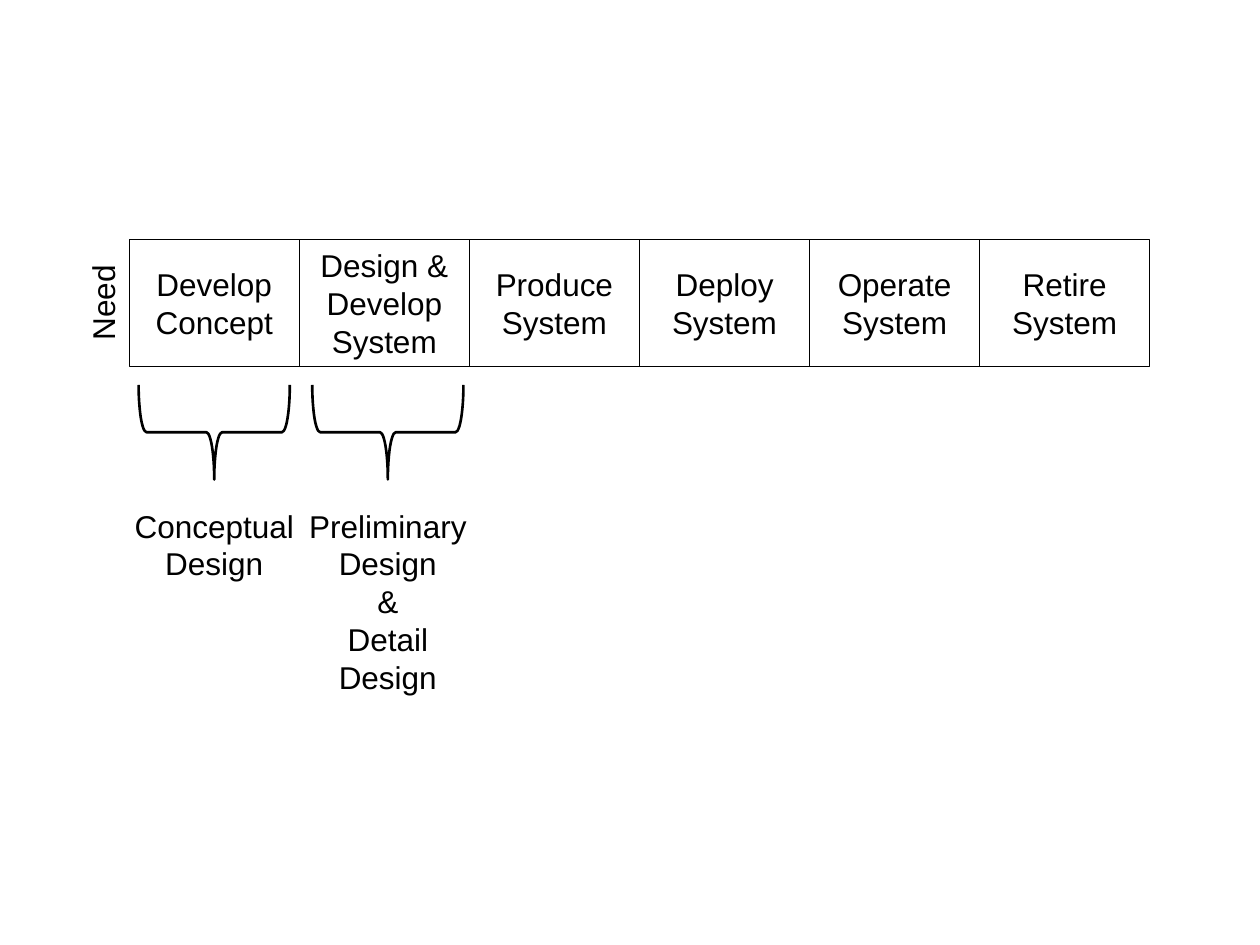
"""Build a slide of the system life cycle phases with their design stages."""
from pptx import Presentation
from pptx.dml.color import RGBColor
from pptx.enum.shapes import MSO_SHAPE as Shape
from pptx.enum.text import MSO_ANCHOR as Anchor, PP_ALIGN as Align
from pptx.util import Pt


def color(value):
    return RGBColor.from_string(value)


def write(target, lines, anchor):
    frame = target.text_frame
    frame.word_wrap = True
    frame.vertical_anchor = anchor
    for index, line in enumerate(lines):
        paragraph = frame.add_paragraph() if index else frame.paragraphs[0]
        paragraph.alignment = Align.CENTER
        run = paragraph.add_run()
        run.text = line
        run.font.name = "Arial"
        run.font.size = Pt(18)
        run.font.color.rgb = color("000000")


prs = Presentation()
prs.slide_width, prs.slide_height = Pt(720), Pt(540)
slide = prs.slides.add_slide(prs.slide_layouts[6])
shapes = slide.shapes

need = shapes.add_textbox(Pt(10.2), Pt(158.5), Pt(97.2), Pt(29.2))
need.rotation = 270
write(need, ["Need"], Anchor.TOP)

phases = ["Develop Concept", "Design & Develop System", "Produce System",
          "Deploy System", "Operate System", "Retire System"]
phase_left, phase_width = 73.8, 97.2
for column, name in enumerate(phases):
    phase = shapes.add_shape(Shape.RECTANGLE, Pt(phase_left + column * phase_width),
                             Pt(136.8), Pt(phase_width), Pt(72.6))
    phase.shadow.inherit = False
    phase.fill.background()
    phase.line.color.rgb = color("000000")
    phase.line.width = Pt(0.75)
    write(phase, [name], Anchor.MIDDLE)

stages = [
    (122.4, 72.6, ["Conceptual Design"]),
    (221.6, 130.2, ["Preliminary Design", "&", "Detail", "Design"]),
]
brace_depth, brace_span, label_width = 54, 86.4, 106.6
for center, label_height, lines in stages:
    brace = shapes.add_shape(Shape.RIGHT_BRACE, Pt(center - brace_depth / 2), Pt(203.8),
                             Pt(brace_depth), Pt(brace_span))
    brace.rotation = 90
    brace.shadow.inherit = False
    brace.fill.background()
    brace.line.color.rgb = color("000000")
    brace.line.width = Pt(1.5)
    label = shapes.add_textbox(Pt(center - label_width / 2), Pt(286),
                               Pt(label_width), Pt(label_height - 11))
    write(label, lines, Anchor.TOP)

prs.save("out.pptx")
